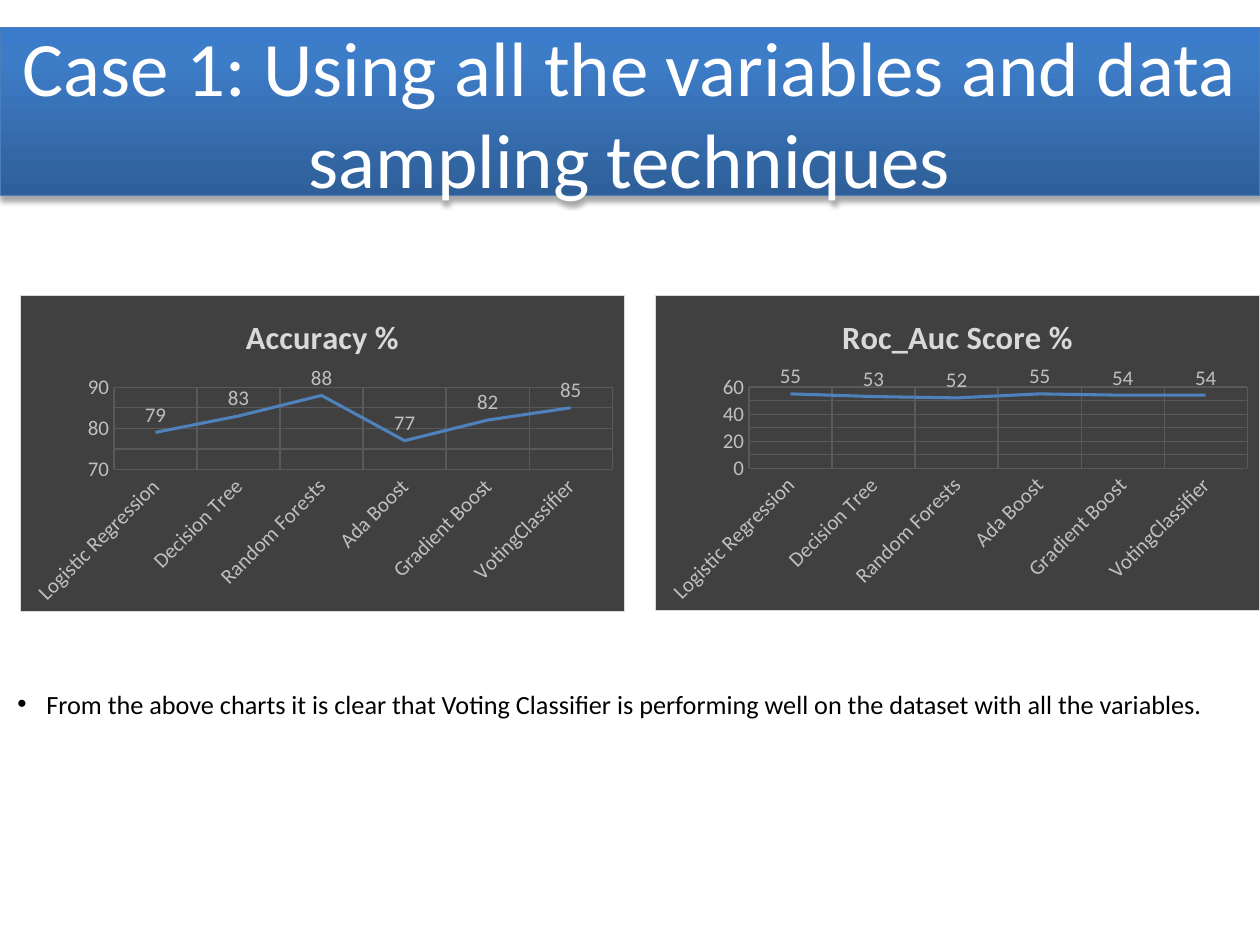
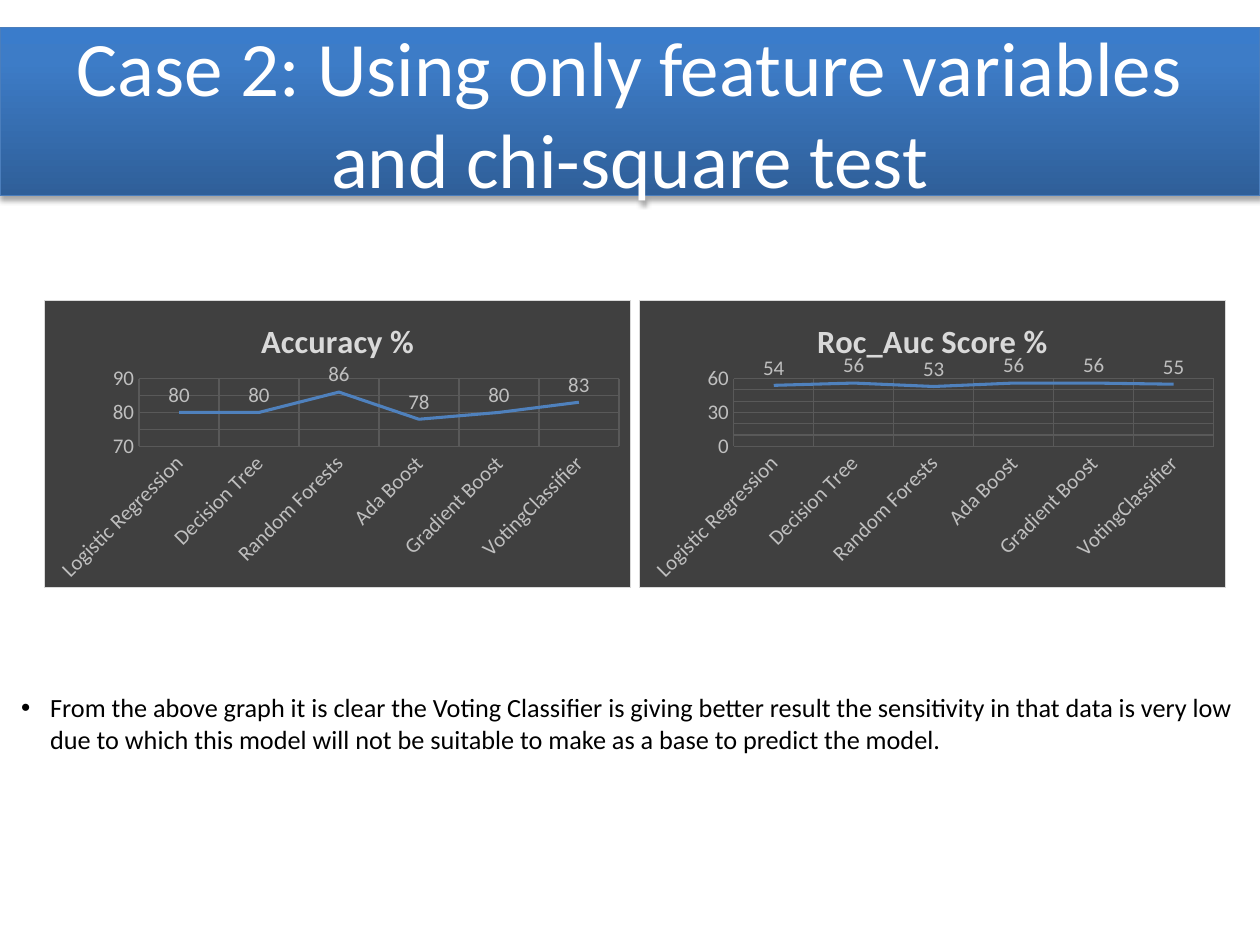
from lxml import etree
from pptx import Presentation
from pptx.chart.data import CategoryChartData
from pptx.dml.color import RGBColor
from pptx.enum.chart import XL_CHART_TYPE, XL_LABEL_POSITION, XL_TICK_MARK
from pptx.enum.shapes import MSO_SHAPE
from pptx.enum.text import MSO_ANCHOR, PP_ALIGN
from pptx.oxml import parse_xml
from pptx.oxml.ns import nsdecls, qn
from pptx.util import Inches, Pt

FONT = "Calibri"
WHITE = RGBColor(0xFF, 0xFF, 0xFF)
BLACK = RGBColor(0x00, 0x00, 0x00)
BAND_LINE = RGBColor(0x4B, 0x7E, 0xBC)
BAND_STOPS = [
    (0, RGBColor(0x2F, 0x5F, 0x99)),
    (80, RGBColor(0x3D, 0x7C, 0xC7)),
    (100, RGBColor(0x3A, 0x7C, 0xCB)),
]
PANEL = RGBColor(0x40, 0x40, 0x40)
PANEL_TEXT = RGBColor(0xD9, 0xD9, 0xD9)
GRID = RGBColor(0x59, 0x59, 0x59)
LABEL = RGBColor(0xBF, 0xBF, 0xBF)
SERIES = RGBColor(0x4F, 0x81, 0xBD)

MODELS = ["Logistic Regression", "Decision Tree", "Random Forests",
          "Ada Boost", "Gradient Boost", "VotingClassifier"]
ACCURACY_SCALE = (70, 90, 5)
ROC_SCALE = (0, 60, 10)


def set_font(font, size, color, bold=False):
    """Apply the deck's typeface with a size, colour and weight."""
    font.name = FONT
    font.size = Pt(size)
    font.color.rgb = color
    font.bold = bold


def write_text(tf, text, size, color, bold=False, align=None, bullet=False):
    """Write one formatted paragraph into a text frame."""
    p = tf.paragraphs[0]
    if align is not None:
        p.alignment = align
    r = p.add_run()
    r.text = text
    set_font(r.font, size, color, bold)
    if bullet:
        pPr = p._p.get_or_add_pPr()
        pPr.set("marL", str(Inches(0.23)))
        pPr.set("indent", str(-Inches(0.23)))
        etree.SubElement(pPr, qn("a:buFont"), typeface="Arial")
        etree.SubElement(pPr, qn("a:buChar"), char="\u2022")


def add_title_band(slide, text):
    """Add the full-width gradient band with the slide title."""
    sp = slide.shapes.add_shape(MSO_SHAPE.RECTANGLE, 0, Inches(0.22),
                                Inches(10), Inches(1.33))
    sp.line.color.rgb = BAND_LINE
    sp.line.width = Pt(0.75)
    stops = "".join(
        f'<a:gs pos="{pos * 1000}"><a:srgbClr val="{color}"/></a:gs>'
        for pos, color in BAND_STOPS)
    sp._element.spPr.find(qn("a:prstGeom")).addnext(parse_xml(
        f'<a:gradFill {nsdecls("a")} rotWithShape="1"><a:gsLst>{stops}</a:gsLst>'
        '<a:lin ang="16200000" scaled="0"/></a:gradFill>'))
    sp.shadow.inherit = False
    sp._element.spPr.find(qn("a:effectLst")).append(parse_xml(
        f'<a:outerShdw {nsdecls("a")} blurRad="{Pt(3.1)}" dist="{Pt(1.8)}" '
        'dir="5400000" rotWithShape="0"><a:srgbClr val="000000">'
        '<a:alpha val="35000"/></a:srgbClr></a:outerShdw>'))
    tf = sp.text_frame
    tf.word_wrap = True
    tf.vertical_anchor = MSO_ANCHOR.MIDDLE
    write_text(tf, text, 44, WHITE, align=PP_ALIGN.CENTER)


def add_conclusion(slide, text, left, top):
    """Add the bulleted conclusion below the charts."""
    tf = slide.shapes.add_textbox(Inches(left), Inches(top),
                                  Inches(10), Inches(0.61)).text_frame
    tf.word_wrap = True
    write_text(tf, text, 15, BLACK, bullet=True)


def style_axis(axis):
    """Give an axis grid lines, grey labels and no line or ticks."""
    axis.has_major_gridlines = True
    line = axis.major_gridlines.format.line
    line.color.rgb = GRID
    line.width = Pt(0.75)
    axis.major_tick_mark = axis.minor_tick_mark = XL_TICK_MARK.NONE
    axis.format.line.fill.background()
    set_font(axis.tick_labels.font, 12, LABEL)


def add_panel(chart):
    """Fill and outline the chart area."""
    set_font(chart.font, 10, BLACK)
    chart._chartSpace.find(qn("c:txPr")).addprevious(parse_xml(
        f'<c:spPr {nsdecls("c", "a")}>'
        f'<a:solidFill><a:srgbClr val="{PANEL}"/></a:solidFill>'
        f'<a:ln w="{Pt(0.75)}"><a:solidFill><a:srgbClr val="{PANEL_TEXT}"/>'
        '</a:solidFill></a:ln></c:spPr>'))


def add_score_chart(slide, name, values, box, scale,
                    kind=XL_CHART_TYPE.LINE_STACKED):
    """Add a dark line chart with one score for each model."""
    data = CategoryChartData()
    data.categories = MODELS
    data.add_series(name, values)
    chart = slide.shapes.add_chart(kind, *map(Inches, box), data).chart
    add_panel(chart)
    chart.has_legend = False
    chart.has_title = True
    chart.chart_title.include_in_layout = False
    write_text(chart.chart_title.text_frame, name, 18.6, PANEL_TEXT, bold=True)

    style_axis(chart.category_axis)
    body = chart.category_axis._element.find(qn("c:txPr")).find(qn("a:bodyPr"))
    body.set("rot", "-2700000")
    axis = chart.value_axis
    style_axis(axis)
    axis.minimum_scale, axis.maximum_scale, axis.major_unit = scale

    plot = chart.plots[0]
    plot.vary_by_categories = False
    series = plot.series[0]
    series.smooth = False
    series.format.line.color.rgb = SERIES
    series.format.line.width = Pt(1.75)
    labels = series.data_labels
    labels.show_value = True
    labels.position = XL_LABEL_POSITION.ABOVE
    set_font(labels.font, 12, LABEL)


def add_case(prs, title):
    """Add a blank slide with its title band."""
    slide = prs.slides.add_slide(prs.slide_layouts[6])
    add_title_band(slide, title)
    return slide


def main():
    """Build both case slides and save the deck."""
    prs = Presentation()
    prs.slide_width, prs.slide_height = Inches(10), Inches(7.5)

    slide = add_case(
        prs, "Case 1: Using all the variables and data sampling techniques")
    add_conclusion(
        slide, "From the above charts it is clear that Voting Classifier is "
        "performing well on the dataset with all the variables.", 0.04, 5.41)
    add_score_chart(slide, "Accuracy %", [79, 83, 88, 77, 82, 85],
                    (0.16, 2.34, 4.8, 2.52), ACCURACY_SCALE, XL_CHART_TYPE.LINE)
    add_score_chart(slide, "Roc_Auc Score %", [55, 53, 52, 55, 54, 54],
                    (5.2, 2.34, 4.8, 2.51), ROC_SCALE)

    slide = add_case(
        prs, "Case 2: Using only feature variables and chi-square test")
    add_conclusion(
        slide, "From the above graph it is clear the Voting Classifier is "
        "giving better result the sensitivity in that data is very low due to "
        "which this model will not be suitable to make as a base to predict "
        "the model.", 0.07, 5.44)
    add_score_chart(slide, "Accuracy %", [80, 80, 86, 78, 80, 83],
                    (0.35, 2.38, 4.66, 2.29), ACCURACY_SCALE)
    add_score_chart(slide, "Roc_Auc Score %", [54, 56, 53, 56, 56, 55],
                    (5.07, 2.38, 4.66, 2.29), ROC_SCALE)

    prs.save("out.pptx")


main()
